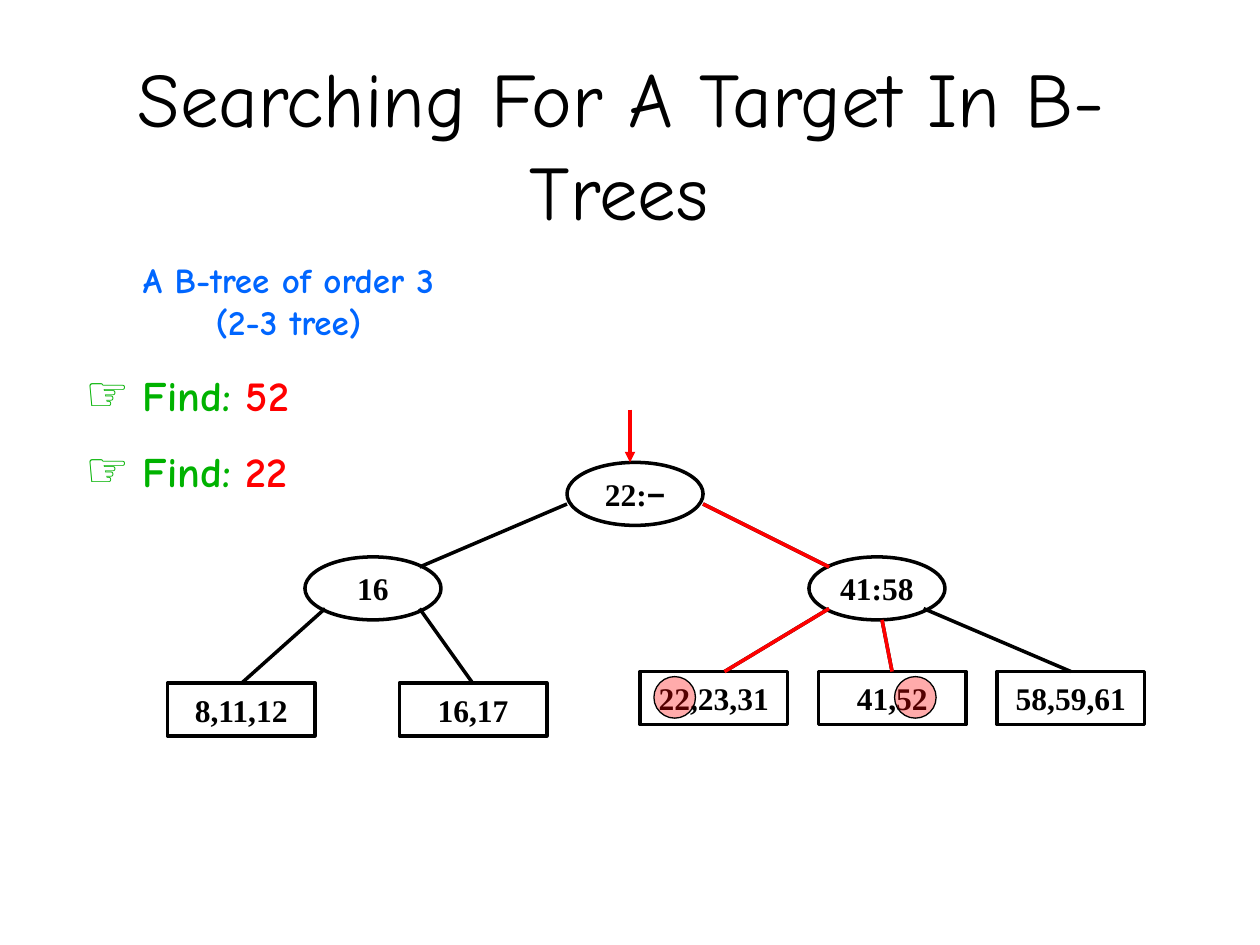
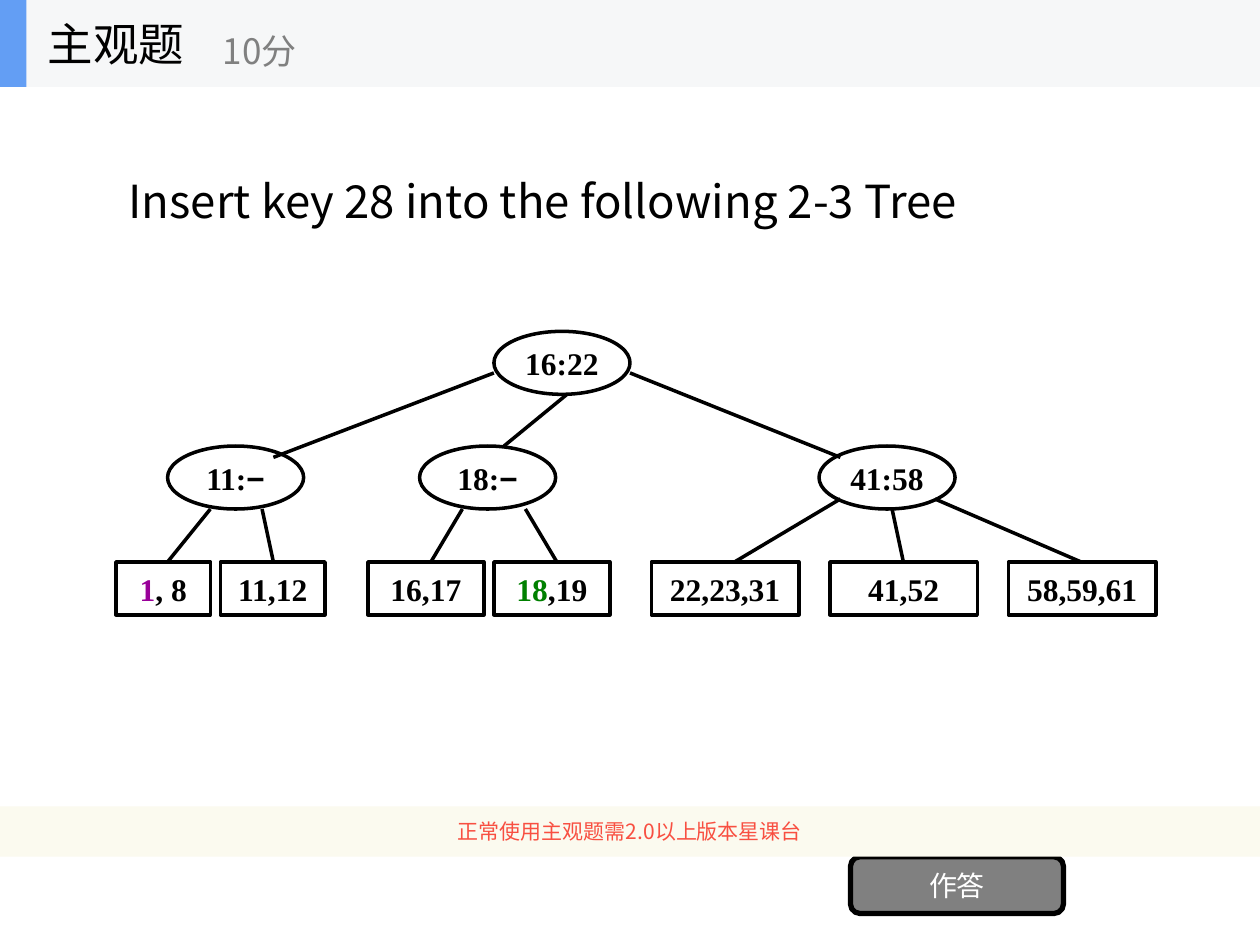
from typing import NamedTuple

from lxml import etree
from pptx import Presentation
from pptx.dml.color import RGBColor
from pptx.enum.shapes import MSO_CONNECTOR, MSO_SHAPE
from pptx.enum.text import MSO_ANCHOR, MSO_AUTO_SIZE, PP_ALIGN
from pptx.oxml.ns import qn
from pptx.util import Inches, Pt

RECT, OVAL = MSO_SHAPE.RECTANGLE, MSO_SHAPE.OVAL
ROUNDED = MSO_SHAPE.ROUNDED_RECTANGLE
STRAIGHT = MSO_CONNECTOR.STRAIGHT
LEFT, CENTER = PP_ALIGN.LEFT, PP_ALIGN.CENTER
TOP, MIDDLE, BOTTOM = MSO_ANCHOR.TOP, MSO_ANCHOR.MIDDLE, MSO_ANCHOR.BOTTOM
TITLE_ONLY = 5

BLACK, WHITE, RED, GRAY = "000000", "FFFFFF", "FF0000", "808080"
BLUE, GREEN = "0066FF", "00B200"
COMIC, SANS, SERIF, ARIAL = "Comic Neue", "Noto Sans CJK SC", "Times New Roman", "Arial"

INNER_SIZE = (1.08, 0.5)
LEAF_WIDTH, LEAF_HEIGHT = 1.17, 0.42


class Style(NamedTuple):
    font: str
    size: float
    color: str = BLACK
    bold: bool = False


KEY = Style(SERIF, 18, bold=True)
MINUS = ("−", KEY._replace(font=ARIAL))


def rgb(color):
    return RGBColor.from_string(color)


def apply_style(font, style):
    font.name, font.size, font.bold = style.font, Pt(style.size), style.bold
    font.color.rgb = rgb(style.color)
    etree.SubElement(font._rPr, qn("a:ea"), typeface=style.font)


def write(frame, lines, align=LEFT, anchor=MIDDLE, wrap=True):
    """Fill a frame; each line is a list of (text, style) runs."""
    frame.auto_size = MSO_AUTO_SIZE.NONE
    frame.word_wrap = wrap
    frame.vertical_anchor = anchor
    for index, runs in enumerate(lines):
        paragraph = frame.add_paragraph() if index else frame.paragraphs[0]
        paragraph.alignment = align
        for text, style in runs:
            run = paragraph.add_run()
            run.text = text
            if len(runs) > 1:
                apply_style(run.font, style)
        if len(runs) == 1:
            apply_style(paragraph.font, runs[0][1])


def inches(*lengths):
    return [Inches(length) for length in lengths]


def set_title(slide, box, text, style, align, anchor):
    title = slide.shapes.title
    title.left, title.top, title.width, title.height = inches(*box)
    write(title.text_frame, [[(text, style)]], align, anchor)


def add_label(slide, box, lines, align=LEFT, anchor=TOP):
    label = slide.shapes.add_textbox(*inches(*box))
    write(label.text_frame, lines, align, anchor)


def add_block(slide, kind, box, fill=None, line=None, line_width=2):
    block = slide.shapes.add_shape(kind, *inches(*box))
    block.shadow.inherit = False
    if fill:
        block.fill.solid()
        block.fill.fore_color.rgb = rgb(fill)
    else:
        block.fill.background()
    if line:
        block.line.color.rgb = rgb(line)
        block.line.width = Pt(line_width)
    else:
        block.line.fill.background()
    return block


def add_node(slide, kind, box, keys):
    """Add a tree node; keys is plain text or a list of styled runs."""
    runs = [(keys, KEY)] if isinstance(keys, str) else keys
    node = add_block(slide, kind, box, line=BLACK)
    write(node.text_frame, [runs], CENTER, wrap=False)


def add_inner(slide, left, top, keys):
    add_node(slide, OVAL, (left, top, *INNER_SIZE), keys)


def add_leaf(slide, left, top, keys, width=LEAF_WIDTH):
    add_node(slide, RECT, (left, top, width, LEAF_HEIGHT), keys)


def add_edge(slide, start, end, color=BLACK, arrow=False):
    edge = slide.shapes.add_connector(STRAIGHT, *inches(*start, *end))
    edge.line.color.rgb = rgb(color)
    edge.line.width = Pt(2)
    if arrow:
        etree.SubElement(edge.line._get_or_add_ln(), qn("a:tailEnd"), type="triangle")
    etree.SubElement(edge._element.spPr, qn("a:effectLst"))


def add_found_mark(slide, left, top):
    """Ring a found key with a translucent red disc."""
    mark = add_block(slide, OVAL, (left, top, 0.33, 0.33), RED, BLACK, 0.75)
    color = mark.fill._xPr.find(qn("a:solidFill"))[0]
    etree.SubElement(color, qn("a:alpha"), val="33000")


def add_right_leaves(slide, left, top):
    for index, keys in enumerate(("22,23,31", "41,52", "58,59,61")):
        add_leaf(slide, left + 1.417 * index, top, keys)


def build_search_slide(prs):
    slide = prs.slides.add_slide(prs.slide_layouts[TITLE_ONLY])
    set_title(slide, (0.75, 0.17, 8.33, 1.75), "Searching For A Target In B-Trees",
              Style(COMIC, 44), CENTER, BOTTOM)

    caption = Style(COMIC, 20, BLUE, True)
    add_label(slide, (0.5, 2, 3.58, 0.77),
              [[("A B-tree of order 3", caption)], [("(2-3 tree)", caption)]], CENTER)
    find = Style(COMIC, 24, GREEN, True)
    for top, target in ((2.83, "52"), (3.43, "22")):
        add_label(slide, (0.58, top, 2.25, 0.57),
                  [[("☞ ", Style(ARIAL, 28, GREEN, True)), ("Find: ", find),
                    (target, find._replace(color=RED))]])

    add_inner(slide, 4.5, 3.67, [("22:", KEY), MINUS])
    add_inner(slide, 2.42, 4.42, "16")
    add_inner(slide, 6.42, 4.42, "41:58")
    add_leaf(slide, 1.33, 5.42, "8,11,12")
    add_leaf(slide, 3.17, 5.42, "16,17")
    add_right_leaves(slide, 5.08, 5.33)

    search_path = [((5.58, 4), (6.58, 4.5)), ((6.58, 4.83), (5.75, 5.33)),
                   ((7, 4.92), (7.08, 5.33))]
    other_edges = [((4.5, 4), (3.33, 4.5)), ((2.58, 4.83), (1.92, 5.42)),
                   ((3.33, 4.83), (3.75, 5.42)), ((7.33, 4.83), (8.5, 5.33))]
    for start, end in other_edges + search_path:
        add_edge(slide, start, end)
    for start, end in search_path:
        add_edge(slide, start, end, RED)
    add_edge(slide, (5, 3.25), (5, 3.67), RED, arrow=True)
    for left in (5.19, 7.1):
        add_found_mark(slide, left, 5.37)


def add_question_frame(slide):
    """Add the header band, answer button and notice of a quiz slide."""
    add_block(slide, RECT, (0, 0, 10, 0.69), "F6F7F8")
    add_block(slide, RECT, (0, 0, 0.21, 0.69), "639EF4")
    add_label(slide, (0.28, 0, 2.08, 0.69), [[("主观题", Style(SANS, 26))]], anchor=MIDDLE)
    add_label(slide, (1.67, 0.12, 2.5, 0.56), [[("10分", Style(SANS, 20, GRAY))]],
              anchor=MIDDLE)
    button = add_block(slide, ROUNDED, (6.75, 6.8, 1.69, 0.45), GRAY, BLACK, 3)
    write(button.text_frame, [[("作答", Style(SANS, 16, WHITE))]], CENTER)
    notice = add_block(slide, RECT, (0, 6.4, 10, 0.4), "FBFAEF")
    write(notice.text_frame,
          [[("正常使用主观题需2.0以上版本星课台", Style(SANS, 12, "F84F41"))]], CENTER)


def build_insert_slide(prs):
    slide = prs.slides.add_slide(prs.slide_layouts[TITLE_ONLY])
    set_title(slide, (0.92, 0.42, 8, 2.34), "Insert key 28 into the following 2-3 Tree",
              Style(SANS, 26), LEFT, MIDDLE)
    add_question_frame(slide)

    add_inner(slide, 3.92, 2.63, "16:22")
    inner_top, leaf_top = 3.54, 4.46
    add_inner(slide, 1.33, inner_top, [("11:", KEY), MINUS])
    add_inner(slide, 3.33, inner_top, [("18:", KEY), MINUS])
    add_inner(slide, 6.5, inner_top, "41:58")
    add_leaf(slide, 0.92, leaf_top,
             [("1", KEY._replace(color="990099")), (", 8", KEY)], 0.75)
    add_leaf(slide, 1.75, leaf_top, "11,12", 0.83)
    add_leaf(slide, 2.92, leaf_top, "16,17", 0.92)
    add_leaf(slide, 3.92, leaf_top,
             [("18", KEY._replace(color="008000")), (",19", KEY)], 0.92)
    add_right_leaves(slide, 5.17, leaf_top)

    root_edges = [((3.92, 2.96), (2.17, 3.63)), ((4.5, 3.13), (4, inner_top)),
                  ((5, 2.96), (6.67, 3.63))]
    for start, end in root_edges:
        add_edge(slide, start, end)
    leaf_edges = [(1.67, 4.04, 1.33), (2.08, 4.04, 2.17), (3.67, 4.04, 3.42),
                  (4.17, 4.04, 4.42), (6.67, 3.96, 5.83), (7.08, 4.04, 7.17),
                  (7.42, 3.96, 8.58)]
    for x, y, leaf_x in leaf_edges:
        add_edge(slide, (x, y), (leaf_x, leaf_top))


def main():
    prs = Presentation()
    prs.slide_width, prs.slide_height = inches(10, 7.5)
    build_search_slide(prs)
    build_insert_slide(prs)
    prs.save("out.pptx")


if __name__ == "__main__":
    main()
